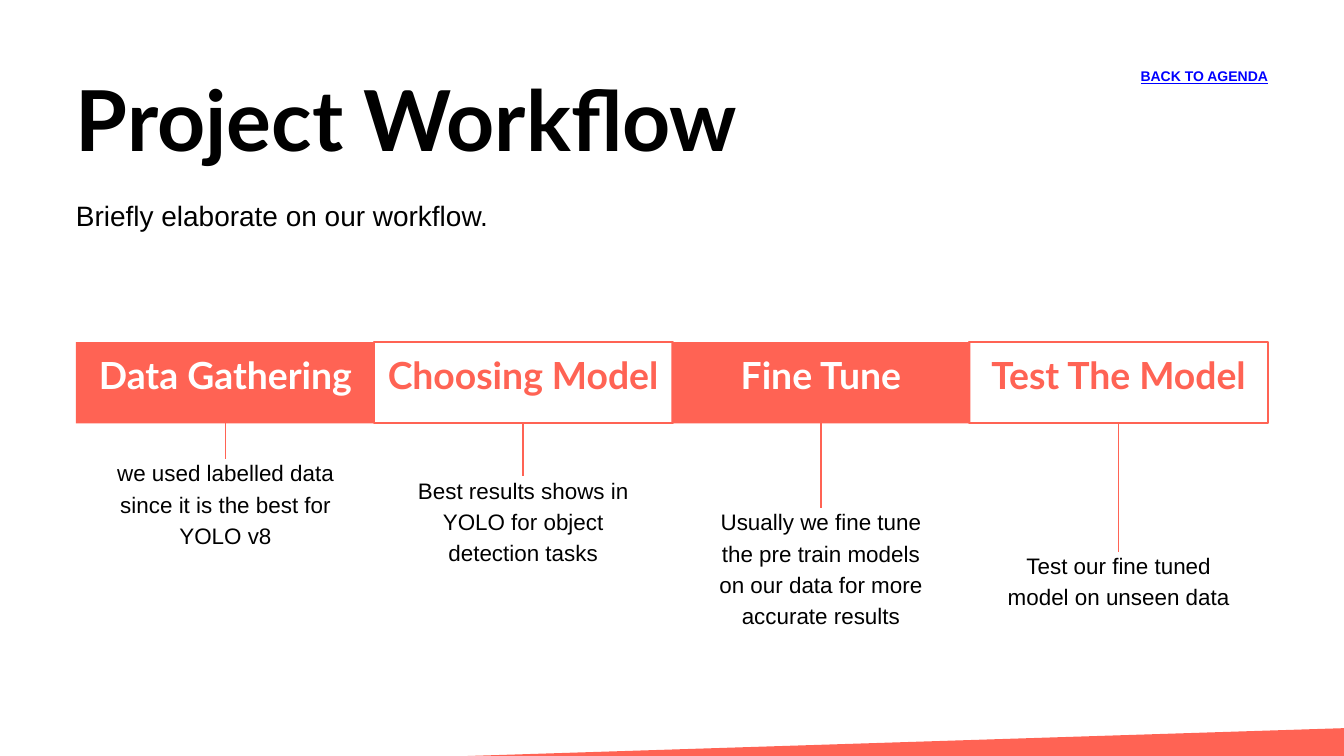
from lxml import etree
from pptx import Presentation
from pptx.dml.color import RGBColor
from pptx.enum import shapes, text
from pptx.oxml.ns import qn
from pptx.util import Inches, Pt

CORAL = RGBColor(0xFF, 0x63, 0x54)
WHITE = RGBColor(0xFF, 0xFF, 0xFF)
BLACK = RGBColor(0, 0, 0)
LINK_BLUE = RGBColor(0, 0, 0xFF)

LEFT, PITCH = 1.13, 4.43
STEP_TOP, STEP_W, STEP_H = 5.09, 4.45, 1.21
NOTE_W = 3.34

# Step name, filled, bottom of its stem, note, note height
STEPS = [
    ("Data Gathering", True, 6.83,
     "we used labelled data since it is the best for YOLO v8", 1.37),
    ("Choosing Model", False, 7.09,
     "Best results shows in YOLO for object detection tasks", 1.37),
    ("Fine Tune", True, 7.56,
     "Usually we fine tune the pre train models on our data for more "
     "accurate results", 1.83),
    ("Test The Model", False, 8.21,
     "Test our fine tuned model on unseen data", 0.91),
]


def set_text(sp, words, size, spacing, font="Arial", color=BLACK, bold=False,
             align=text.PP_ALIGN.LEFT, margins=(0, 0, 0, 0)):
    """Fill a shape with one formatted paragraph; margins: left, top, right, bottom."""
    tf = sp.text_frame
    tf.word_wrap = True
    (tf.margin_left, tf.margin_top,
     tf.margin_right, tf.margin_bottom) = map(Inches, margins)
    tf.text = words
    p = tf.paragraphs[0]
    p.alignment = align
    p.line_spacing = Pt(spacing)
    r = p.runs[0]
    r.font.name = font
    r.font.size = Pt(size)
    r.font.bold = bold
    r.font.color.rgb = color
    return r


def add_text(slide, box, words, size, spacing, **style):
    sp = slide.shapes.add_textbox(*map(Inches, box))
    return set_text(sp, words, size, spacing, **style)


def add_step(slide, left, name, filled):
    sp = slide.shapes.add_shape(
        shapes.MSO_SHAPE.RECTANGLE, Inches(left), Inches(STEP_TOP),
        Inches(STEP_W), Inches(STEP_H))
    sp.shadow.inherit = False
    if filled:
        sp.fill.solid()
        sp.fill.fore_color.rgb = CORAL
        sp.line.fill.background()
    else:
        sp.fill.background()
        sp.line.color.rgb = CORAL
        sp.line.width = Pt(2.25)
    sp.text_frame.vertical_anchor = text.MSO_ANCHOR.MIDDLE
    set_text(sp, name, 40, 56, font="Lato", color=WHITE if filled else CORAL,
             bold=True, align=text.PP_ALIGN.CENTER,
             margins=(0.06, 0, 0.06, 0.35))


def add_stem(slide, x, bottom):
    line = slide.shapes.add_connector(
        shapes.MSO_CONNECTOR.STRAIGHT, Inches(x), Inches(STEP_TOP + STEP_H),
        Inches(x), Inches(bottom))
    line.line.color.rgb = CORAL
    line.line.width = Pt(1.5)
    etree.SubElement(line._element.spPr, qn("a:effectLst"))


def add_footer_band(slide):
    points = [(3.5, 11.36), (20.18, 10.83), (20.21, 11.69), (3.53, 12.22)]
    corners = [(Inches(x), Inches(y)) for x, y in points]
    builder = slide.shapes.build_freeform(*corners[0])
    builder.add_line_segments(corners[1:], close=True)
    sp = builder.convert_to_shape()
    sp.shadow.inherit = False
    sp.fill.solid()
    sp.fill.fore_color.rgb = CORAL
    sp.line.fill.background()


def main():
    prs = Presentation()
    prs.slide_width, prs.slide_height = Inches(20), Inches(11.25)
    slide = prs.slides.add_slide(prs.slide_layouts[6])

    for i, (name, filled, stem_bottom, note, note_h) in enumerate(STEPS):
        left = LEFT + i * PITCH
        center = left + STEP_W / 2
        add_step(slide, left, name, filled)
        add_stem(slide, center, stem_bottom)
        add_text(slide, (center - NOTE_W / 2, stem_bottom - 0.06, NOTE_W, note_h),
                 note, 24, 33.6, align=text.PP_ALIGN.CENTER)

    add_text(slide, (LEFT, 2.87, 11.66, 0.55),
             "Briefly elaborate on our workflow.", 30, 42)
    add_text(slide, (LEFT, 1.26, 11.66, 1.37), "Project Workflow", 90, 90,
             font="Lato", bold=True)
    back = add_text(slide, (16.5, 0.99, 2.37, 0.26), "BACK TO AGENDA", 15, 19.5,
                    color=LINK_BLUE, bold=True, align=text.PP_ALIGN.RIGHT)
    back.font.underline = True
    add_footer_band(slide)

    prs.save("out.pptx")


if __name__ == "__main__":
    main()
